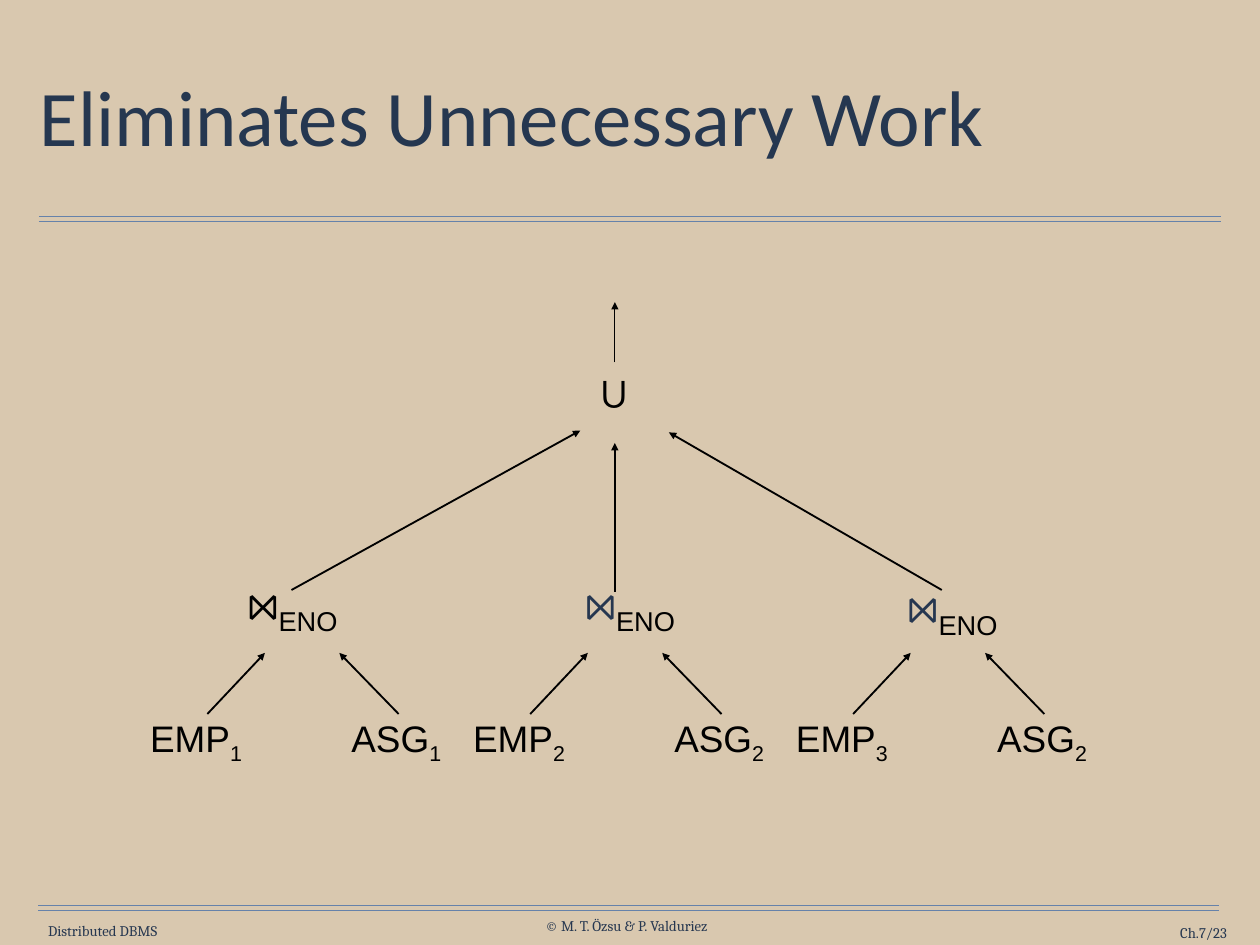
from lxml import etree
from pptx import Presentation
from pptx.dml.color import RGBColor
from pptx.enum.shapes import MSO_CONNECTOR
from pptx.enum.text import MSO_ANCHOR as ANCHOR, PP_ALIGN as ALIGN
from pptx.oxml.ns import qn
from pptx.util import Pt

COLORS = {"sand": "D9C8AF", "rule": "6682AA", "heading": "253750",
          "navy": "263750", "black": "000000"}

deck = Presentation()
deck.slide_width, deck.slide_height = Pt(1024), Pt(768)
slide = deck.slides.add_slide(deck.slide_layouts[5])
slide.background.fill.solid()
slide.background.fill.fore_color.rgb = RGBColor.from_string(COLORS["sand"])


def add_text(box, runs, align=ALIGN.CENTER, anchor=ANCHOR.TOP, inset=(0, 0),
             spacing=None, wrap=False):
    """Fill a box with runs of (text, size, font, color, is_subscript)."""
    frame = box.text_frame
    frame.word_wrap = wrap
    frame.vertical_anchor = anchor
    frame.margin_left = frame.margin_right = Pt(inset[0])
    frame.margin_top = frame.margin_bottom = Pt(inset[1])
    paragraph = frame.paragraphs[0]
    paragraph.alignment = align
    paragraph.line_spacing = spacing
    for text, size, font, color, is_subscript in runs:
        run = paragraph.add_run()
        run.text = text
        run.font.size = Pt(size)
        run.font.name = font
        run.font.color.rgb = RGBColor.from_string(COLORS[color])
        if is_subscript:
            run.font._element.set("baseline", "-25000")


def add_line(x1, y1, x2, y2, color="black", width=1.5, arrow=True):
    line = slide.shapes.add_connector(
        MSO_CONNECTOR.STRAIGHT, Pt(x1), Pt(y1), Pt(x2), Pt(y2))
    line.line.color.rgb = RGBColor.from_string(COLORS[color])
    line.line.width = Pt(width)
    if arrow:
        etree.SubElement(line.line._get_or_add_ln(), qn("a:tailEnd"), type="triangle")
    etree.SubElement(line._element.spPr, qn("a:effectLst"))


# Double rules under the title and above the footer
for left, right, top in [(31.7, 992.2, 175.7), (31, 990.7, 735.8)]:
    for y in (top, top + 4.3):
        add_line(left, y, right, y, "rule", 1, arrow=False)

# Footer
for text, left, top, width, align in [
        ("Distributed DBMS", 33.8, 749.5, 99.4, ALIGN.CENTER),
        ("© M. T. Özsu & P. Valduriez", 434.2, 745.2, 149.8, ALIGN.CENTER),
        ("Ch.7/23", 886.3, 751, 110.9, ALIGN.RIGHT)]:
    footer = slide.shapes.add_textbox(Pt(left), Pt(top), Pt(width), Pt(14.4))
    add_text(footer, [(text, 12, "Cambria", "navy", False)], align,
             ANCHOR.MIDDLE, wrap=align == ALIGN.RIGHT)

# Title
title = slide.shapes.title
title.left, title.top, title.width, title.height = Pt(28), Pt(35.3), Pt(967.7), Pt(126.7)
add_text(title, [("Eliminates Unnecessary Work", 64, "Calibri", "heading", False)],
         ALIGN.LEFT, ANCHOR.MIDDLE, (4.3, 4.3), 0.9, wrap=True)

# Union at the root, with the result arrow above it
add_line(499.7, 294.5, 499.7, 245.5, width=1)
union = slide.shapes.add_textbox(Pt(486), Pt(298), Pt(25.2), Pt(41.8))
add_text(union, [("∪", 36, "Arial", "black", False)], spacing=Pt(41.2))

# Arrows from the joins to the union
for x1, y1, x2, y2 in [(236.9, 479.5, 471.6, 349.9),
                       (499.7, 481, 499.7, 360),
                       (765.4, 479.5, 543.6, 351.4)]:
    add_line(x1, y1, x2, y2)

# One join subtree per fragment pair
subtrees = [("1", "1", 189.4, 486.7, 96.5, "black"),
            ("2", "2", 463.7, 486.7, 96.5, "navy"),
            ("3", "2", 721.4, 489.6, 105.1, "navy")]
for i, (emp, asg, join_left, join_top, join_width, join_color) in enumerate(subtrees):
    left = 110.9 + 262.4 * i
    join = slide.shapes.add_textbox(Pt(join_left), Pt(join_top), Pt(join_width), Pt(34.6))
    add_text(join, [("⋈", 40, "Cambria", join_color, False),
                    ("ENO", 38, "Arial", "black", True)], spacing=Pt(31.3))
    for relation, fragment, offset, tail_x, head_x in [
            ("EMP", emp, 0, 57.6, 104.4), ("ASG", asg, 162.7, 213.1, 164.9)]:
        leaf = slide.shapes.add_textbox(Pt(left + offset), Pt(576.7), Pt(97), Pt(46))
        add_text(leaf, [(relation, 30, "Arial", "black", False),
                        (fragment, 30, "Arial", "black", True)], inset=(10, 5))
        add_line(left + tail_x, 580.3, left + head_x, 530.6)

deck.save("out.pptx")
